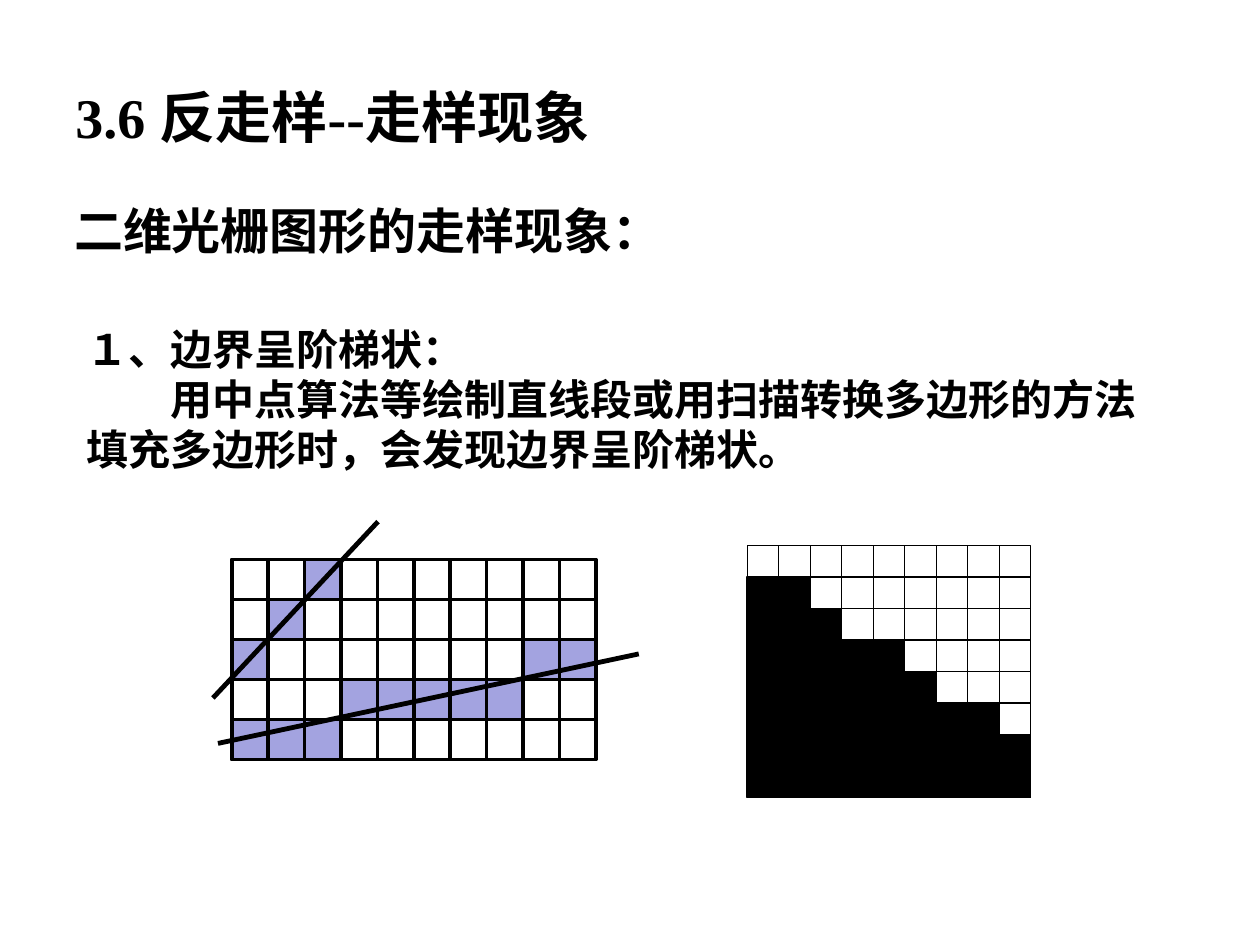
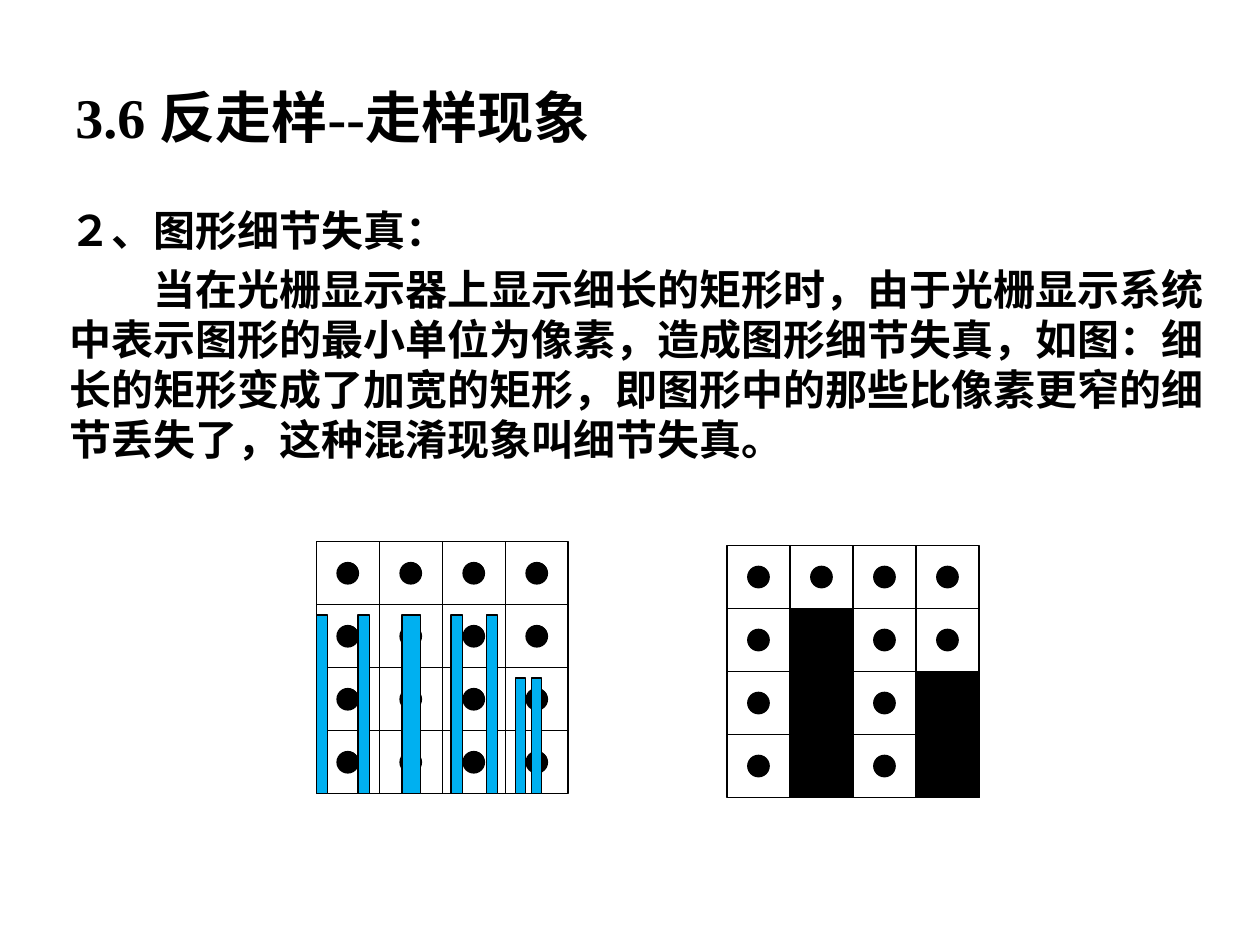
from lxml import etree
from pptx import Presentation
from pptx import util as u
from pptx.dml.color import RGBColor
from pptx.enum import shapes, text
from pptx.oxml.ns import qn

HUE = {"ink": "000000", "cell": "A3A3E0", "bar": "00B0F0"}
RECT = shapes.MSO_SHAPE.RECTANGLE
OVAL = shapes.MSO_SHAPE.OVAL
CJK = "Noto Sans CJK SC"
ROMAN = "Times New Roman"
INK = RGBColor.from_string(HUE["ink"])


def draw(page, kind, at, fill=None, width=0.75):
    form = page.shapes.add_shape(kind, *map(u.Inches, at))
    form.shadow.inherit = False
    if fill:
        form.fill.solid()
        form.fill.fore_color.rgb = RGBColor.from_string(HUE[fill])
    else:
        form.fill.background()
    form.line.color.rgb = INK
    form.line.width = u.Pt(width)
    return form


def rule(page, ends, width=0.75):
    line = page.shapes.add_connector(shapes.MSO_CONNECTOR.STRAIGHT, *map(u.Inches, ends))
    line.line.color.rgb = INK
    line.line.width = u.Pt(width)
    etree.SubElement(line._element.spPr, qn("a:effectLst"))
    return line


deck = Presentation()
deck.slide_width, deck.slide_height = u.Inches(10), u.Inches(7.5)
stairs, detail = [deck.slides.add_slide(deck.slide_layouts[6]) for _ in range(2)]

title = ["3.6 反走样--走样现象"]
texts = [
    (page, (0.5, 0.3, 9, 1.25), 32, ROMAN, 0, title) for page in (stairs, detail)
] + [
    (stairs, (0.49, 1.55, 6.93, 0.7), 28, CJK, 0.2, ["二维光栅图形的走样现象："]),
    (stairs, (0.59, 2.52, 8.75, 1.31), 24, ROMAN, 0, [
        "１、边界呈阶梯状：",
        "　　用中点算法等绘制直线段或用扫描转换多边形的方法填充多边形时，会发现边界呈阶梯状。",
    ]),
    (detail, (0.45, 1.58, 9.52, 2.4), 24, CJK, 0.2, [
        "２、图形细节失真：",
        "　　当在光栅显示器上显示细长的矩形时，由于光栅显示系统中表示图形的最小单位为像素，"
        "造成图形细节失真，如图：细长的矩形变成了加宽的矩形，即图形中的那些比像素更窄的细节丢失了，"
        "这种混淆现象叫细节失真。",
    ]),
]
for page, at, size, face, gap, lines in texts:
    frame = page.shapes.add_textbox(*map(u.Inches, at)).text_frame
    frame.word_wrap = True
    if lines is title:
        frame.vertical_anchor = text.MSO_ANCHOR.MIDDLE
    for i, words in enumerate(lines):
        para = frame.paragraphs[0] if i == 0 else frame.add_paragraph()
        para.space_before = u.Pt(size * gap)
        if lines is not title:
            para.line_spacing = u.Pt(size * 1.19)
        run = para.add_run()
        run.text = words
        look = {"size": u.Pt(size), "name": face, "bold": True}
        for key, value in look.items():
            setattr(run.font, key, value)
        run.font.color.rgb = INK
        etree.SubElement(run._r.get_or_add_rPr(), qn("a:ea"), typeface=CJK)

steps = [(0, 2, 7), (2, 1, 6), (3, 2, 5), (5, 1, 4), (6, 2, 3), (8, 1, 2)]
nets = [
    (stairs, 5.93, 4.33, 9, 8, 0.25, steps, False),
    (detail, 5.77, 4.33, 4, 4, 0.5, [(1, 1, 3), (3, 1, 2)], True),
    (detail, 2.51, 4.3, 4, 4, 0.5, [], True),
]
for page, left, top, cols, rows, step, bars, dots in nets:
    wide, high = cols * step, rows * step
    box = draw(page, RECT, (left, top, wide, high))
    for col in range(1, cols):
        x = left + col * step
        line = rule(page, (x, top, x, top + high))
        if col * 2 == cols:
            line.begin_connect(box, 0)
            line.end_connect(box, 2)
    for row in range(1, rows):
        y = top + row * step
        line = rule(page, (left, y, left + wide, y))
        if row * 2 == rows:
            line.begin_connect(box, 1)
            line.end_connect(box, 3)
    full = {(col, rows - 1 - k) for col, span, tall in bars for k in range(tall)}
    for col in range(cols if dots else 0):
        for row in range(rows):
            if (col, row) not in full:
                spot = (left + col * step + 0.165, top + row * step + 0.165)
                draw(page, OVAL, (*spot, 0.17, 0.17), "ink")
    for col, span, tall in bars:
        at = (left + col * step, top + high - tall * step, span * step, tall * step)
        draw(page, RECT, at, "ink")

cells = [
    "..#.......",
    ".#........",
    "#.......##",
    "...#####..",
    "###.......",
]
wide, high = 2.89 / 10, 1.59 / 5
for row, marks in enumerate(cells):
    for col, mark in enumerate(marks):
        at = (1.84 + col * wide, 4.44 + row * high, wide, high)
        draw(stairs, RECT, at, "cell" if mark == "#" else None, 2)
for ends in [(1.73, 5.9, 5.07, 5.19), (1.69, 5.54, 3, 4.14)]:
    rule(stairs, ends, 2.75)

base = 6.3
strips = [(3.19, 0.15, 1.42)]
strips += [(x, 0.09, 1.42) for x in (2.51, 2.84, 3.58, 3.86)]
strips += [(x, 0.08, 0.92) for x in (4.09, 4.22)]
for x, wide, high in strips:
    draw(detail, RECT, (x, base - high, wide, high), "bar")

deck.save("out.pptx")
